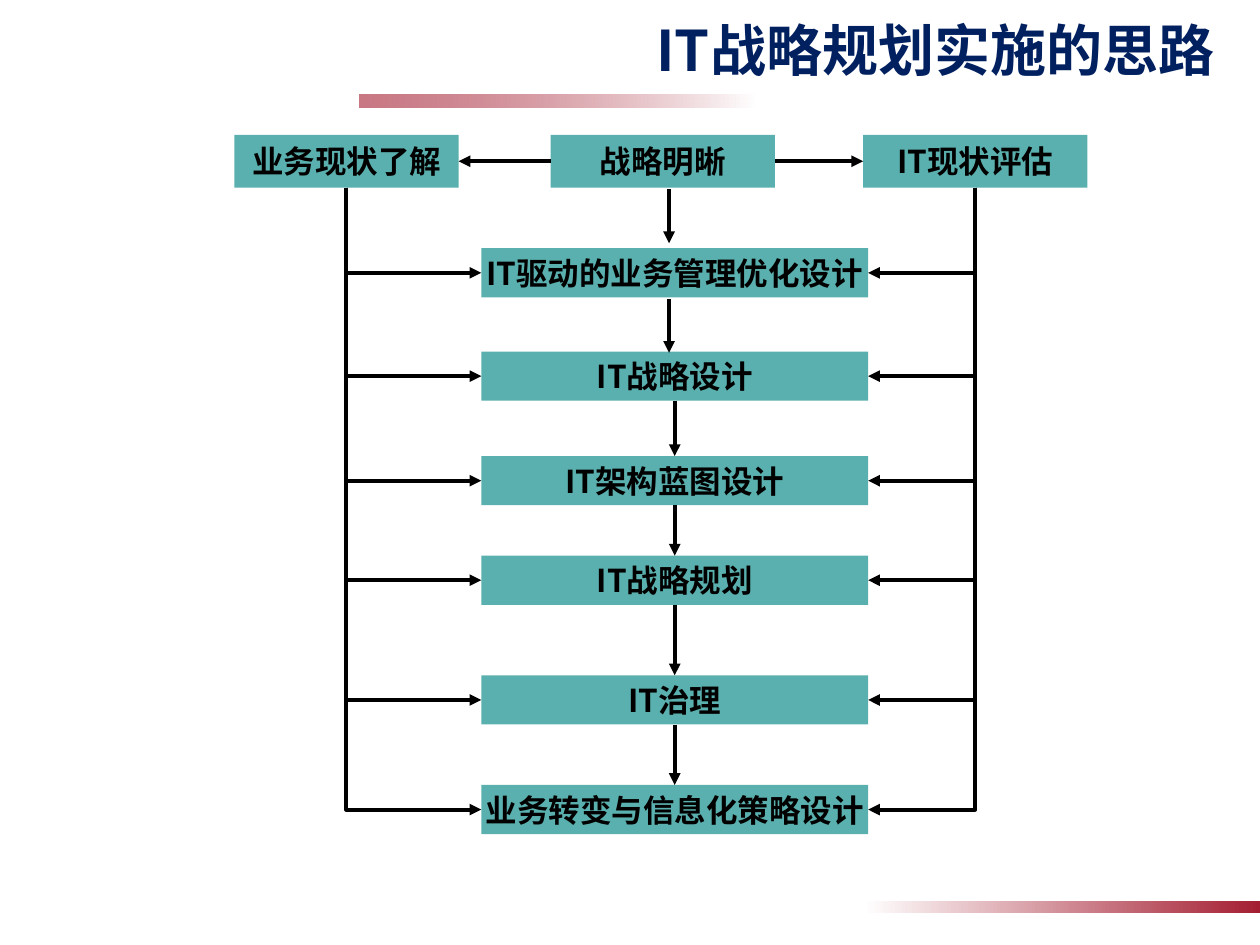
from dataclasses import dataclass
from itertools import pairwise

from lxml.etree import SubElement
from pptx import Presentation
from pptx.dml.color import RGBColor
from pptx.enum.shapes import MSO_CONNECTOR as Connector, MSO_SHAPE as Shape
from pptx.enum.text import MSO_ANCHOR as Anchor, MSO_AUTO_SIZE as AutoSize, PP_ALIGN as Align
from pptx.oxml.ns import qn
from pptx.util import Inches, Pt

TOP, LEFT, BOTTOM, RIGHT = range(4)


@dataclass(frozen=True)
class Theme:
    """Colours, font and sizes shared by the slide."""

    font: str = "Noto Sans CJK SC"
    title_color: RGBColor = RGBColor.from_string("002060")
    ink: RGBColor = RGBColor.from_string("000000")
    box: RGBColor = RGBColor.from_string("5AB0AE")
    bar: RGBColor = RGBColor.from_string("A41E31")
    paper: RGBColor = RGBColor.from_string("FFFFFF")
    title_size: float = 32
    box_size: float = 18
    line_width: float = 2.25


class FlowSlide:
    """Draws the elements of a flow chart on one slide."""

    def __init__(self, slide, theme):
        """Keep the slide and its theme."""
        self.slide = slide
        self.theme = theme

    def label(self, shape, text, size, color, align):
        """Put one bold paragraph in a shape."""
        paragraph = shape.text_frame.paragraphs[0]
        paragraph.text = text
        paragraph.alignment = align
        font = paragraph.font
        font.name, font.size, font.bold = self.theme.font, Pt(size), True
        font.color.rgb = color
        properties = paragraph._p.find(".//" + qn("a:defRPr"))
        SubElement(properties, qn("a:ea")).set("typeface", self.theme.font)

    def title(self, text, left, top, width, height):
        """Place and fill the title placeholder."""
        shape = self.slide.shapes.title
        shape.left, shape.top = Inches(left), Inches(top)
        shape.width, shape.height = Inches(width), Inches(height)
        frame = shape.text_frame
        frame.auto_size = AutoSize.NONE
        frame.vertical_anchor = Anchor.TOP
        frame.margin_left = frame.margin_right = Inches(0.08)
        frame.margin_top, frame.margin_bottom = Inches(0.04), Inches(0.05)
        self.label(shape, text, self.theme.title_size, self.theme.title_color, Align.RIGHT)

    def rectangle(self, left, top, width, height):
        """Add a flat rectangle without outline."""
        shape = self.slide.shapes.add_shape(
            Shape.RECTANGLE, Inches(left), Inches(top), Inches(width), Inches(height))
        shape.shadow.inherit = False
        shape.line.fill.background()
        return shape

    def fading_bar(self, left, top, rotation=0, opacity=100):
        """Add a bar that fades from white to the accent colour."""
        shape = self.rectangle(left, top, 3.15, 0.1)
        shape.rotation = rotation
        shape.fill.gradient()
        shape.fill.gradient_angle = 0
        start, end = shape.fill.gradient_stops
        start.position, end.position = 0, 1
        start.color.rgb, end.color.rgb = self.theme.paper, self.theme.bar
        if opacity < 100:
            color = shape._element.spPr.findall(".//" + qn("a:srgbClr"))[-1]
            SubElement(color, qn("a:alpha")).set("val", str(opacity * 1000))

    def box(self, text, left, top, width, height):
        """Add a filled box with a centred label."""
        shape = self.rectangle(left, top, width, height)
        shape.fill.solid()
        shape.fill.fore_color.rgb = self.theme.box
        shape.text_frame.word_wrap = False
        shape.text_frame.vertical_anchor = Anchor.MIDDLE
        self.label(shape, text, self.theme.box_size, self.theme.ink, Align.CENTER)
        return shape

    def arrow(self, kind=Connector.STRAIGHT, start=(0, 0), end=(0, 0)):
        """Add a connector with an arrowhead at its end."""
        points = [Inches(value) for value in (*start, *end)]
        connector = self.slide.shapes.add_connector(kind, *points)
        connector.line.color.rgb = self.theme.ink
        connector.line.width = Pt(self.theme.line_width)
        properties = connector._element.spPr
        SubElement(properties.find(qn("a:ln")), qn("a:tailEnd")).set("type", "triangle")
        SubElement(properties, qn("a:effectLst"))
        return connector

    def join(self, source, source_side, target, target_side, kind=Connector.STRAIGHT):
        """Join the sides of two boxes with an arrow."""
        connector = self.arrow(kind)
        connector.begin_connect(source, source_side)
        connector.end_connect(target, target_side)
        return connector

    def branch(self, source, target, target_side):
        """Lead one right-angled arrow from below a box to a box's side."""
        connector = self.join(source, BOTTOM, target, target_side, Connector.ELBOW)
        start_x, start_y = connector.begin_x, connector.begin_y
        end_x, end_y = connector.end_x, connector.end_y
        across, down = abs(end_x - start_x), end_y - start_y
        connector.left = (start_x + end_x - down) // 2
        connector.top = (start_y + end_y - across) // 2
        connector.width, connector.height = down, across
        properties = connector._element.spPr
        properties.find(qn("a:prstGeom")).set("prst", "bentConnector2")
        frame = properties.find(qn("a:xfrm"))
        frame.attrib.clear()
        if target_side == LEFT:
            frame.set("rot", str(270 * 60000))
            frame.set("flipH", "1")
        else:
            frame.set("rot", str(90 * 60000))


def main():
    """Build the planning slide."""
    presentation = Presentation()
    presentation.slide_width, presentation.slide_height = Inches(10), Inches(7.5)
    slide = presentation.slides.add_slide(presentation.slide_layouts[5])
    flow = FlowSlide(slide, Theme())

    flow.fading_bar(2.85, 0.75, rotation=180, opacity=60)
    flow.fading_bar(6.85, 7.15)
    flow.title("IT战略规划实施的思路", 0, 0.08, 9.72, 0.75)

    sources = (("业务现状了解", 1.86), ("战略明晰", 4.37), ("IT现状评估", 6.85))
    business, strategy, technology = [
        flow.box(text, left, 1.07, 1.78, 0.42) for text, left in sources]
    flow.join(strategy, LEFT, business, RIGHT)
    flow.join(strategy, RIGHT, technology, LEFT)

    steps = (
        ("IT驱动的业务管理优化设计", 1.97),
        ("IT战略设计", 2.79),
        ("IT架构蓝图设计", 3.62),
        ("IT战略规划", 4.41),
        ("IT治理", 5.36),
        ("业务转变与信息化策略设计", 6.23),
    )
    boxes = [flow.box(text, 3.82, top, 3.07, 0.39) for text, top in steps]
    for top in (1.5, 2.37):
        flow.arrow(start=(5.31, top), end=(5.31, top + 0.43))
    for upper, lower in pairwise(boxes[1:]):
        flow.join(upper, BOTTOM, lower, TOP)
    for box in boxes:
        flow.branch(business, box, LEFT)
        flow.branch(technology, box, RIGHT)

    presentation.save("out.pptx")


if __name__ == "__main__":
    main()
